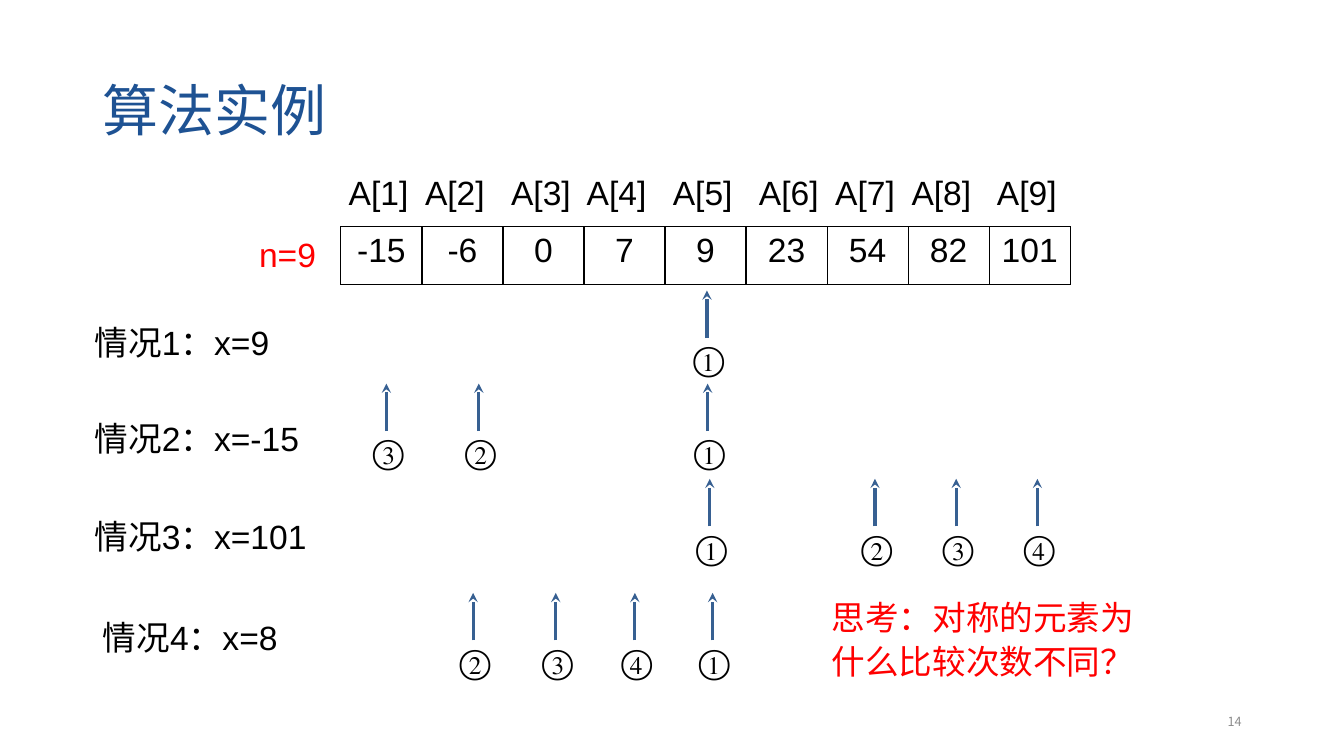
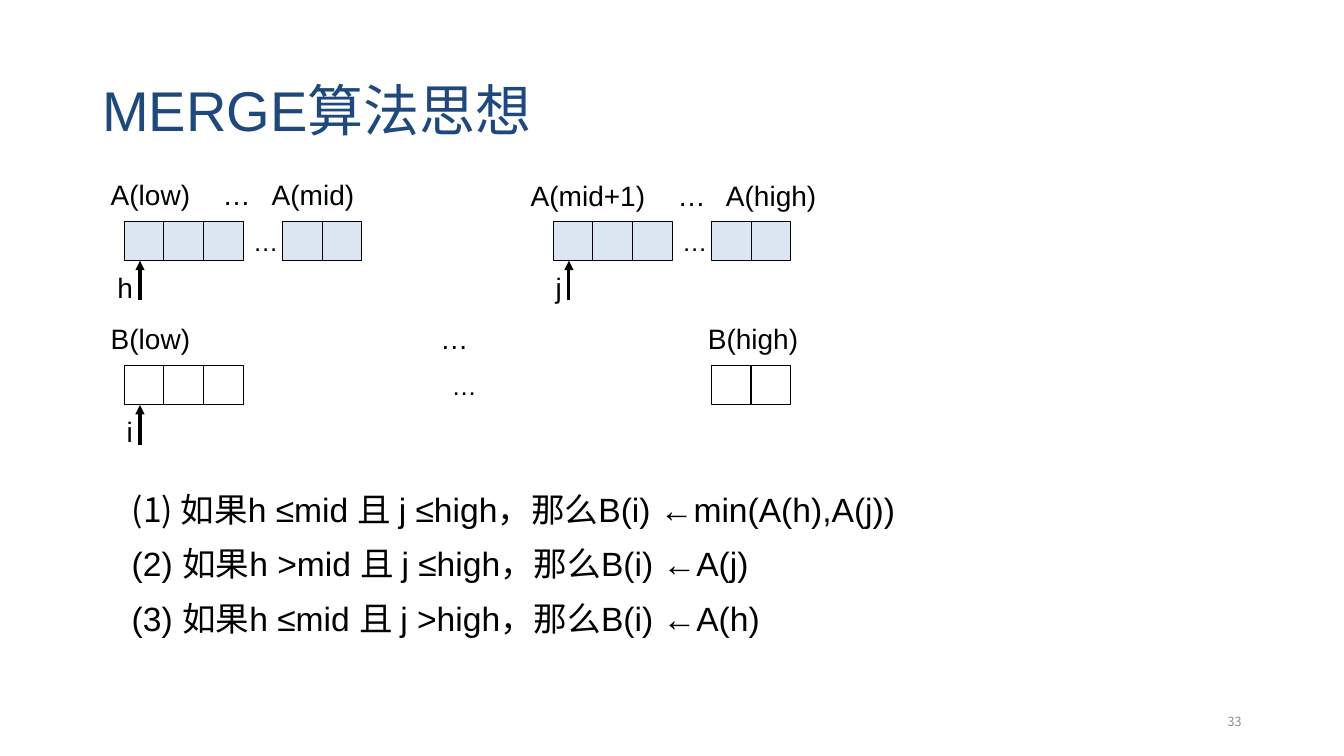
from lxml.etree import SubElement
from pptx import Presentation
from pptx.dml.color import RGBColor
from pptx.enum.shapes import MSO_CONNECTOR, MSO_SHAPE
from pptx.enum.text import MSO_ANCHOR, PP_ALIGN
from pptx.oxml.ns import qn
from pptx.util import Pt

COLORS = {
    "title": "1E5293",
    "merge_title": "1F497D",
    "text": "000000",
    "accent": "FF0000",
    "step": "376092",
    "cell": "DCE6F2",
    "number": "8C8C8C",
}
LATIN = "Arial"
CHINESE = "Noto Sans CJK SC"
SERIF = "Times New Roman"
CELL = 28.3  # side of an array cell
STEP_LENGTH = 34


def rgb(name):
    return RGBColor.from_string(COLORS[name])


# Text
def format_text(paragraph, size, color, font=LATIN, east_asian=CHINESE):
    for run in paragraph.runs:
        run.font.size = Pt(size)
        run.font.name = font
        run.font.color.rgb = rgb(color)
        SubElement(run.font._element, qn("a:ea"), typeface=east_asian)


def add_text(slide, text, left, top, width, height, size=24, color="text",
             font=LATIN, east_asian=CHINESE, align=PP_ALIGN.LEFT,
             anchor=MSO_ANCHOR.TOP, spacing=None, wrap=True):
    box = slide.shapes.add_textbox(Pt(left), Pt(top), Pt(width), Pt(height))
    frame = box.text_frame
    frame.word_wrap = wrap
    frame.vertical_anchor = anchor
    paragraph = frame.paragraphs[0]
    paragraph.text = text
    paragraph.alignment = align
    if spacing:
        paragraph.line_spacing = spacing
    format_text(paragraph, size, color, font, east_asian)
    return paragraph


def set_hanging_indent(paragraph, indent):
    properties = paragraph._p.get_or_add_pPr()
    properties.set("marL", str(Pt(indent)))
    properties.set("indent", str(-Pt(indent)))


def set_numbered(paragraph):
    properties = paragraph._p.get_or_add_pPr()
    SubElement(properties, qn("a:buFont"), typeface=CHINESE)
    SubElement(properties, qn("a:buAutoNum"), type="arabicParenBoth")


def set_tabs(paragraph, positions):
    tabs = SubElement(paragraph._p.get_or_add_pPr(), qn("a:tabLst"))
    for position in positions:
        SubElement(tabs, qn("a:tab"), pos=str(Pt(position)), algn="l")


def add_labels(slide, labels, tabs, left, top, width, size=20, spacing=None):
    paragraph = add_text(slide, "\t".join(labels), left, top, width, 31,
                         size, spacing=spacing)
    set_tabs(paragraph, tabs)


# Shared slide frame
def add_slide(presentation, title, number, color="title"):
    slide = presentation.slides.add_slide(presentation.slide_layouts[6])
    add_text(slide, title, 66, 29, 828, 104, 40, color,
             anchor=MSO_ANCHOR.MIDDLE, spacing=0.9)
    add_text(slide, str(number), 678, 500.5, 216, 29, 9, "number", CHINESE,
             align=PP_ALIGN.RIGHT, anchor=MSO_ANCHOR.MIDDLE)
    return slide


# Lines and cells
def add_up_arrow(slide, x, top, length, color, head):
    arrow = slide.shapes.add_connector(
        MSO_CONNECTOR.STRAIGHT, Pt(x), Pt(top + length), Pt(x), Pt(top))
    arrow.line.color.rgb = rgb(color)
    arrow.line.width = Pt(2.25)
    SubElement(arrow.line._get_or_add_ln(), qn("a:tailEnd"), type=head)
    SubElement(arrow._element.spPr, qn("a:effectLst"))


def add_cells(slide, left, top, count, fill=None):
    for index in range(count):
        cell = slide.shapes.add_shape(
            MSO_SHAPE.RECTANGLE, Pt(left + index * CELL), Pt(top),
            Pt(CELL), Pt(CELL))
        cell.shadow.inherit = False
        cell.line.color.rgb = rgb("text")
        cell.line.width = Pt(0.75)
        if fill:
            cell.fill.solid()
            cell.fill.fore_color.rgb = rgb(fill)
        else:
            cell.fill.background()


def add_ellipsis(slide, left, top):
    add_text(slide, "…", left, top, CELL, CELL, 18, align=PP_ALIGN.CENTER,
             anchor=MSO_ANCHOR.MIDDLE, wrap=False)


def add_pointer(slide, name, array_left, array_top):
    x, top = array_left + 11.2, array_top + CELL
    add_up_arrow(slide, x, top, CELL, "text", "triangle")
    add_text(slide, name, x - 28, top + 3.5, 30, 31, 20,
             align=PP_ALIGN.RIGHT)


def add_step(slide, digit, x, top):
    add_up_arrow(slide, x, top, STEP_LENGTH, "step", "stealth")
    add_text(slide, digit, x - 17, top + STEP_LENGTH - 3.5, 32, 36,
             font=SERIF, east_asian=SERIF)


def add_array_table(slide, values, left, top, column_width, height):
    shape = slide.shapes.add_table(1, len(values), Pt(left), Pt(top),
                                   Pt(column_width * len(values)), Pt(height))
    table = shape.table
    table.first_row = table.horz_banding = False
    for cell, value in zip(table.rows[0].cells, values):
        paragraph = cell.text_frame.paragraphs[0]
        paragraph.text = str(value)
        paragraph.alignment = PP_ALIGN.CENTER
        format_text(paragraph, 24, "text")
        properties = cell._tc.get_or_add_tcPr()
        for side in ("a:lnL", "a:lnR", "a:lnT", "a:lnB"):
            border = SubElement(properties, qn(side), w=str(Pt(1)))
            fill = SubElement(border, qn("a:solidFill"))
            SubElement(fill, qn("a:srgbClr"), val=COLORS["text"])
        cell.fill.background()


# Slides
def build_search_example(presentation):
    slide = add_slide(presentation, "算法实例", 14)
    add_array_table(slide, [-15, -6, 0, 7, 9, 23, 54, 82, 101],
                    243.5, 162, 57.9, 41)
    add_labels(slide, [f"A[{index}]" for index in range(1, 10)],
               [54.5, 116, 170, 231.5, 293, 347.5, 402, 463],
               242, 122.5, 538.5, 24, spacing=0.9)
    add_text(slide, "n=9", 178, 167, 64, 34.5, color="accent", spacing=0.9)

    # Label, its left, top and width, then arrow top and comparison steps
    cases = [
        ("情况1：x=9", 60.5, 229.5, 170, 207.5, [("①", 505)]),
        ("情况2：x=-15", 60.5, 298, 227, 274,
         [("①", 505.5), ("②", 342), ("③", 276)]),
        ("情况3：x=101", 60.5, 368.5, 227, 342,
         [("①", 507), ("②", 625), ("③", 683), ("④", 741)]),
        ("情况4：x=8", 66.5, 440, 153, 423.5,
         [("①", 509), ("②", 338), ("③", 397), ("④", 453.5)]),
    ]
    for label, left, top, width, arrow_top, steps in cases:
        paragraph = add_text(slide, label, left, top, width, 34.5, spacing=0.9)
        set_hanging_indent(paragraph, 36)
        for digit, x in steps:
            add_step(slide, digit, x, arrow_top)

    add_text(slide, "思考：对称的元素为什么比较次数不同？",
             587, 420, 239, 79, color="accent", spacing=1.1)


def build_merge_idea(presentation):
    slide = add_slide(presentation, "MERGE算法思想", 33, "merge_title")
    low, middle, high = 88.8, 395.2, 508.2
    source_top, target_top = 158, 261

    # Two sorted halves of A
    for left, pointer in ((low, "h"), (middle, "j")):
        add_cells(slide, left, source_top, 3, "cell")
        add_ellipsis(slide, left + 3 * CELL, source_top)
        add_cells(slide, left + 4 * CELL, source_top, 2, "cell")
        add_pointer(slide, pointer, left, source_top)
    add_labels(slide, ["A(low)", "…", "A(mid)"], [80, 115], 72, 123, 210)
    add_labels(slide, ["A(mid+1)", "…", "A(high)"], [105, 139.5],
               372, 124, 249)

    # Merged array B
    add_cells(slide, low, target_top, 3)
    add_ellipsis(slide, 315.5, target_top)
    add_cells(slide, high, target_top, 2)
    add_pointer(slide, "i", low, target_top)
    add_labels(slide, ["B(low)", "…", "B(high)"], [235.5, 426.5],
               72, 226, 516)

    # Rules
    rules = [
        (" 如果h ≤mid 且 j ≤high，那么B(i) ←min(A(h),A(j))", 345.5),
        ("(2) 如果h >mid 且 j ≤high，那么B(i) ←A(j)", 384),
        ("(3) 如果h ≤mid 且 j >high，那么B(i) ←A(h)", 423.5),
    ]
    for index, (text, top) in enumerate(rules):
        paragraph = add_text(slide, text, 87, top, 646.5, 36)
        set_hanging_indent(paragraph, 27)
        if index == 0:
            set_numbered(paragraph)


def main():
    presentation = Presentation()
    presentation.slide_width = Pt(960)
    presentation.slide_height = Pt(540)
    build_search_example(presentation)
    build_merge_idea(presentation)
    presentation.save("out.pptx")


if __name__ == "__main__":
    main()
